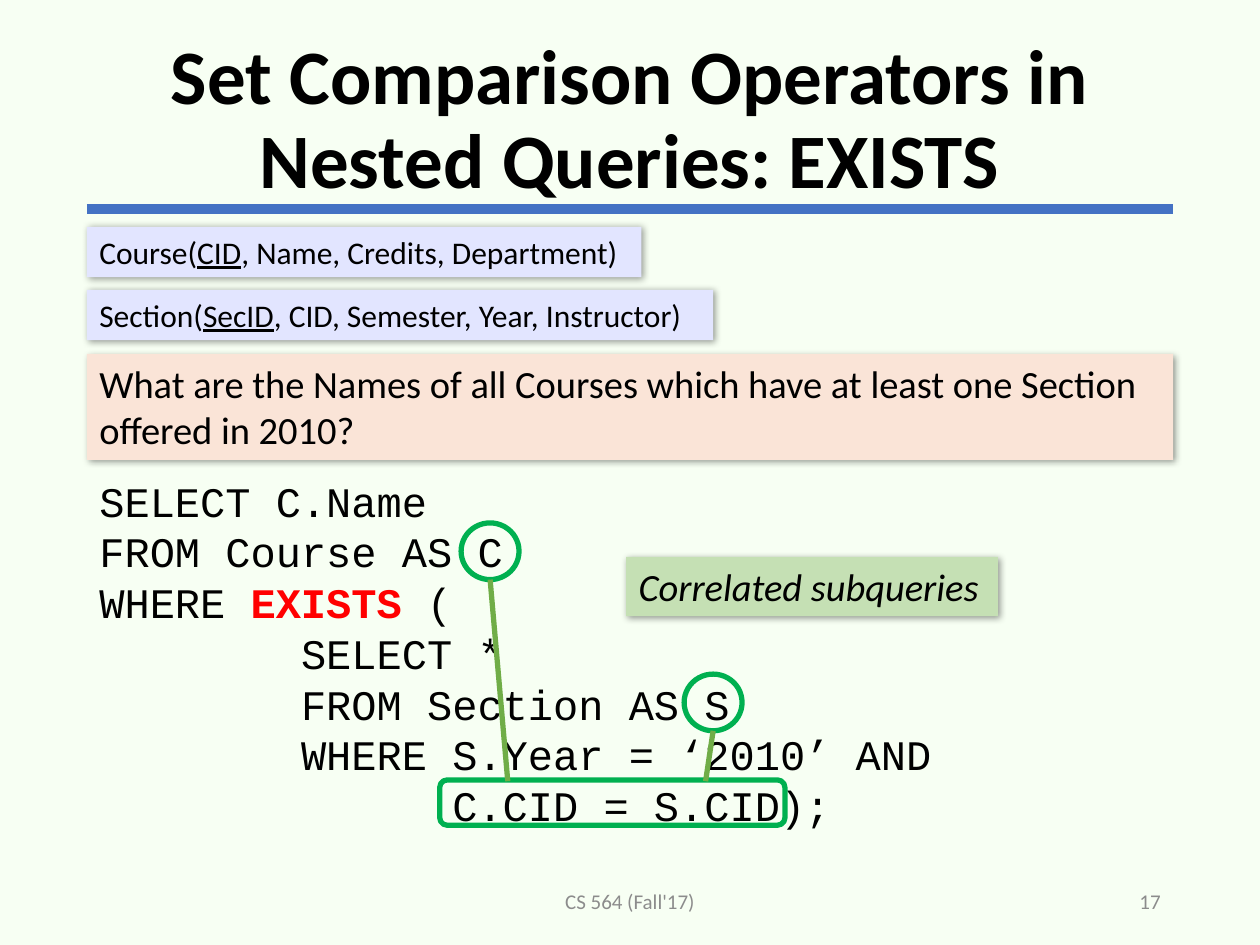
import pptx
import pptx.util
import pptx.oxml
import pptx.oxml.ns
import pptx.dml.color
import pptx.enum.shapes
import pptx.enum.text
from pptx.util import Inches

SHAPE = pptx.enum.shapes.MSO_SHAPE
ALIGN = pptx.enum.text.PP_ALIGN
ANCHOR = pptx.enum.text.MSO_ANCHOR
SHADOW = (
    f'<a:effectLst {pptx.oxml.ns.nsdecls("a")}>'
    '<a:outerShdw blurRad="50800" dist="12700" dir="2700000" algn="tl" rotWithShape="0">'
    '<a:srgbClr val="000000"><a:alpha val="40000"/></a:srgbClr>'
    '</a:outerShdw></a:effectLst>'
)


def color(value):
    return pptx.dml.color.RGBColor.from_string(value)


def add_run(para, text, size, fill="000000", face="Calibri"):
    span = para.add_run()
    span.text = text
    span.font.size = pptx.util.Pt(size)
    span.font.name = face
    span.font.color.rgb = color(fill)
    return span


deck = pptx.Presentation()
deck.slide_width = Inches(10)
deck.slide_height = Inches(7.5)
page = deck.slides.add_slide(deck.slide_layouts[5])
page.background.fill.solid()
page.background.fill.fore_color.rgb = color("F7FFF3")

left, width = 0.69, 8.62

title = page.shapes.title
title.left, title.top = Inches(left), Inches(0.24)
title.width, title.height = Inches(width), Inches(1.45)
title.text_frame.word_wrap = True
title.text_frame.auto_size = pptx.enum.text.MSO_AUTO_SIZE.NONE
title.text_frame.vertical_anchor = ANCHOR.MIDDLE
para = title.text_frame.paragraphs[0]
para.alignment = ALIGN.CENTER
para.line_spacing = 0.9
add_run(para, "Set Comparison Operators in Nested Queries: EXISTS", 44).font.bold = True

footers = [
    (3.31, 3.38, ALIGN.CENTER, "CS 564 (Fall'17)"),
    (7.06, 2.25, ALIGN.RIGHT, "17"),
]
for x, w, alignment, text in footers:
    box = page.shapes.add_textbox(Inches(x), Inches(6.95), Inches(w), Inches(0.4))
    box.text_frame.word_wrap = True
    box.text_frame.vertical_anchor = ANCHOR.MIDDLE
    para = box.text_frame.paragraphs[0]
    para.alignment = alignment
    add_run(para, text, 12, "8C8C8C")

code = [
    "SELECT C.Name",
    "FROM Course AS C",
    "WHERE EXISTS (",
    "        SELECT *",
    "        FROM Section AS S",
    "        WHERE S.Year = ‘2010’ AND",
    "              C.CID = S.CID);",
]
box = page.shapes.add_textbox(Inches(left), Inches(3.72), Inches(width), Inches(2.93))
box.text_frame.word_wrap = True
for index, line in enumerate(code):
    para = box.text_frame.add_paragraph() if index else box.text_frame.paragraphs[0]
    para.line_spacing = pptx.util.Pt(29)
    before, keyword, after = line.partition("EXISTS")
    add_run(para, before, 24, face="Courier New")
    if keyword:
        add_run(para, keyword, 24, "FF0000", "Courier New").font.bold = True
        add_run(para, after, 24, face="Courier New")

question = "What are the Names of all Courses which have at least one Section offered in 2010?"
panels = [
    (left, 2.81, width, 0.84, "FAE4D7", 22, [(question, "")]),
    (left, 1.8, 4.4, 0.4, "E2E5FF", 18,
     [("Course(", ""), ("CID", "underline"), (", Name, Credits, Department)", "")]),
    (left, 2.3, 4.97, 0.4, "E2E5FF", 18,
     [("Section(", ""), ("SecID", "underline"), (", CID, Semester, Year, Instructor)", "")]),
    (4.97, 4.42, 2.95, 0.47, "C5E0B4", 22, [("Correlated subqueries", "italic")]),
]
for x, y, w, h, fill, size, parts in panels:
    panel = page.shapes.add_shape(SHAPE.RECTANGLE, Inches(x), Inches(y), Inches(w), Inches(h))
    panel.fill.solid()
    panel.fill.fore_color.rgb = color(fill)
    panel.line.fill.background()
    panel._element.spPr.append(pptx.oxml.parse_xml(SHADOW))
    panel.text_frame.word_wrap = True
    panel.text_frame.vertical_anchor = ANCHOR.TOP
    para = panel.text_frame.paragraphs[0]
    para.alignment = ALIGN.LEFT
    for text, style in parts:
        span = add_run(para, text, size)
        if style:
            setattr(span.font, style, True)

marks = page.shapes.add_group_shape()
outlines = [
    (SHAPE.OVAL, 3.66, 4.15, 0.46, 0.45),
    (SHAPE.OVAL, 5.43, 5.35, 0.46, 0.45),
    (SHAPE.ROUNDED_RECTANGLE, 3.49, 6.19, 2.74, 0.36),
]
for kind, x, y, w, h in outlines:
    outline = marks.shapes.add_shape(kind, Inches(x), Inches(y), Inches(w), Inches(h))
    outline.shadow.inherit = False
    outline.fill.background()
    outline.line.color.rgb = color("00B050")
    outline.line.width = pptx.util.Pt(3)

lines = [
    (page, left, 1.66, left + width, 1.66, "4472C4", 6),
    (marks, 3.89, 4.6, 4.03, 6.2, "70AD47", 3),
    (marks, 5.66, 5.8, 5.6, 6.2, "70AD47", 3),
]
for parent, x1, y1, x2, y2, stroke, weight in lines:
    line = parent.shapes.add_connector(
        pptx.enum.shapes.MSO_CONNECTOR.STRAIGHT,
        Inches(x1), Inches(y1), Inches(x2), Inches(y2))
    line.line.color.rgb = color(stroke)
    line.line.width = pptx.util.Pt(weight)
    line._element.spPr.append(pptx.oxml.parse_xml(f'<a:effectLst {pptx.oxml.ns.nsdecls("a")}/>'))

deck.save("out.pptx")
